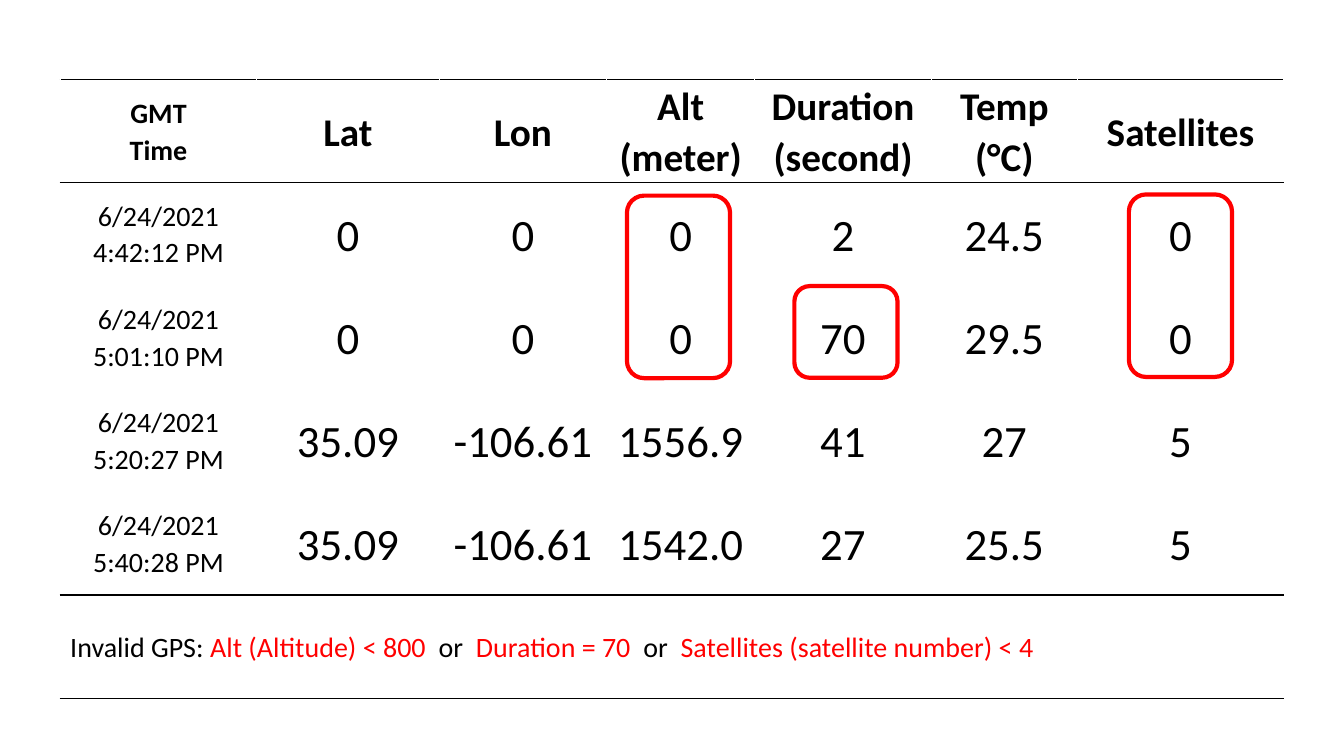
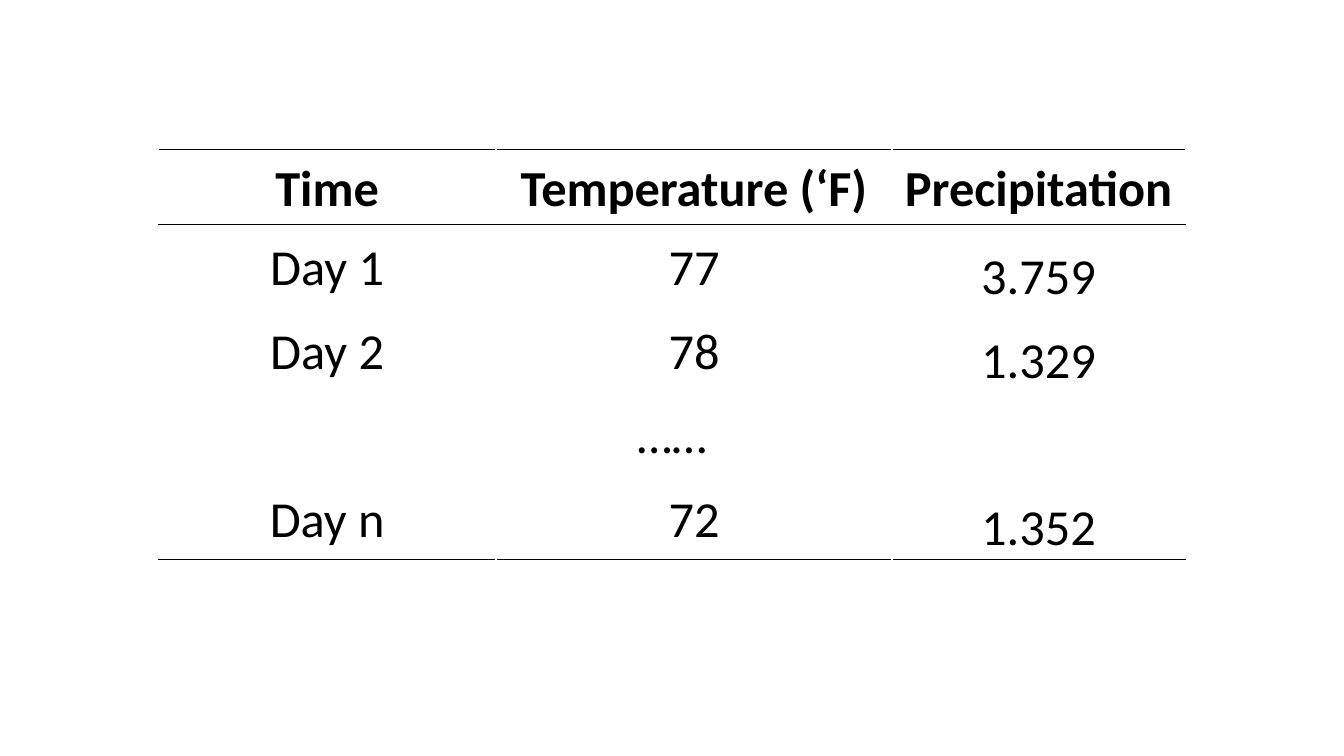
from lxml import etree
from pptx import Presentation
from pptx import util as u
from pptx.dml.color import RGBColor
from pptx.enum import shapes, text
from pptx.oxml.ns import qn

BLACK = RGBColor(0x00, 0x00, 0x00)
WHITE = RGBColor(0xFF, 0xFF, 0xFF)
RED = RGBColor(0xFF, 0x00, 0x00)
FONT = "Calibri"
MIDDLE, BOTTOM = text.MSO_ANCHOR.MIDDLE, text.MSO_ANCHOR.BOTTOM
CENTER, LEFT = text.PP_ALIGN.CENTER, text.PP_ALIGN.LEFT


def add_ruled_table(s, left, top, widths, heights, black_below):
    """Add an unfilled table, white-ruled except above row 0 and below the given rows."""
    width, height = u.Cm(sum(widths)), u.Cm(sum(heights))
    table = s.shapes.add_table(len(heights), len(widths), u.Cm(left), u.Cm(top), width, height).table
    table.first_row = table.horz_banding = False
    for column, w in zip(table.columns, widths):
        column.width = u.Cm(w)
    for i, (row, h) in enumerate(zip(table.rows, heights)):
        row.height = u.Cm(h)
        above = BLACK if i == 0 or i - 1 in black_below else WHITE
        below = BLACK if i in black_below else WHITE
        for cell in row.cells:
            tcPr = cell._tc.get_or_add_tcPr()
            for side, color in (("L", WHITE), ("R", WHITE), ("T", above), ("B", below)):
                ln = etree.SubElement(tcPr, qn("a:ln" + side), w=str(u.Pt(1)))
                fill = etree.SubElement(ln, qn("a:solidFill"))
                etree.SubElement(fill, qn("a:srgbClr"), val=str(color))
            cell.fill.background()
    return table


def write_cell(cell, paragraphs, size, bold=False, align=CENTER, anchor=MIDDLE, margin=0.25, top=0):
    """Write paragraphs, each a list of (text, colour) runs."""
    cell.vertical_anchor = anchor
    cell.margin_left = cell.margin_right = u.Cm(margin)
    cell.margin_top, cell.margin_bottom = u.Cm(top), 0
    tf = cell.text_frame
    for i, runs in enumerate(paragraphs):
        p = tf.add_paragraph() if i else tf.paragraphs[0]
        p.alignment = align
        p.line_spacing = 1.07
        for words, color in runs:
            r = p.add_run()
            r.text = words
            r.font.name = FONT
            r.font.size = u.Pt(size)
            r.font.bold = bold
            r.font.color.rgb = color


prs = Presentation()
prs.slide_width, prs.slide_height = u.Cm(33.87), u.Cm(19.05)
blank = prs.slide_layouts[6]

# Slide 1: GPS records with the invalid values framed
s = prs.slides.add_slide(blank)
gps_header = ["GMT\nTime", "Lat", "Lon", "Alt\n(meter)", "Duration\n(second)", "Temp\n(°C)", "Satellites"]
gps_records = [
    ["6/24/2021 4:42:12 PM", "0", "0", "0", "2", "24.5", "0"],
    ["6/24/2021 5:01:10 PM", "0", "0", "0", "70", "29.5", "0"],
    ["6/24/2021 5:20:27 PM", "35.09", "-106.61", "1556.9", "41", "27", "5"],
    ["6/24/2021 5:40:28 PM", "35.09", "-106.61", "1542.0", "27", "25.5", "5"],
]
gps_rule = [
    ("Invalid GPS: ", BLACK),
    ("Alt (Altitude) < 800  ", RED),
    ("or  ", BLACK),
    ("Duration = 70  ", RED),
    ("or  ", BLACK),
    ("Satellites (satellite number) < 4", RED),
]
table = add_ruled_table(s, 1.52, 2.01, [4.95, 4.6, 4.22, 3.73, 4.45, 3.68, 5.2],
                        [2.36] + [2.6] * 5, black_below=(0, 4, 5))
for i, values in enumerate([gps_header] + gps_records):
    for j, value in enumerate(values):
        size = 20 if j == 0 else 28 if i == 0 else 32
        lines = [[(line, BLACK)] for line in value.split("\n")]
        write_cell(table.cell(i, j), lines, size, bold=i == 0)
table.cell(5, 0).merge(table.cell(5, 6))
write_cell(table.cell(5, 0), [gps_rule], 20, align=LEFT)

for left, top, height in ((15.8, 4.93, 4.6), (28.45, 4.9, 4.6), (20.02, 7.21, 2.31)):
    sp = s.shapes.add_shape(shapes.MSO_SHAPE.ROUNDED_RECTANGLE,
                            u.Cm(left), u.Cm(top), u.Cm(2.6), u.Cm(height))
    sp.shadow.inherit = False
    sp.fill.background()
    sp.line.color.rgb = RED
    sp.line.width = u.Pt(3)

# Slide 2: daily weather
s = prs.slides.add_slide(blank)
weather = [
    ["Time", "Temperature (‘F)", "Precipitation"],
    ["Day 1", "77", "3.759"],
    ["Day 2", "78", "1.329"],
    ["……"],
    ["Day n", "72", "1.352"],
]
table = add_ruled_table(s, 3.99, 3.76, [8.51, 9.98, 7.39], [1.9] + [2.11] * 4, black_below=(0, 4))
table.cell(3, 0).merge(table.cell(3, 2))
for i, values in enumerate(weather):
    for j, value in enumerate(values):
        low = i > 0 and j == 2
        write_cell(table.cell(i, j), [[(value, BLACK)]], 36, bold=i == 0,
                   anchor=BOTTOM if low else MIDDLE,
                   margin=0.03 if low else 0.28, top=0.03 if low else 0)

prs.save("out.pptx")
